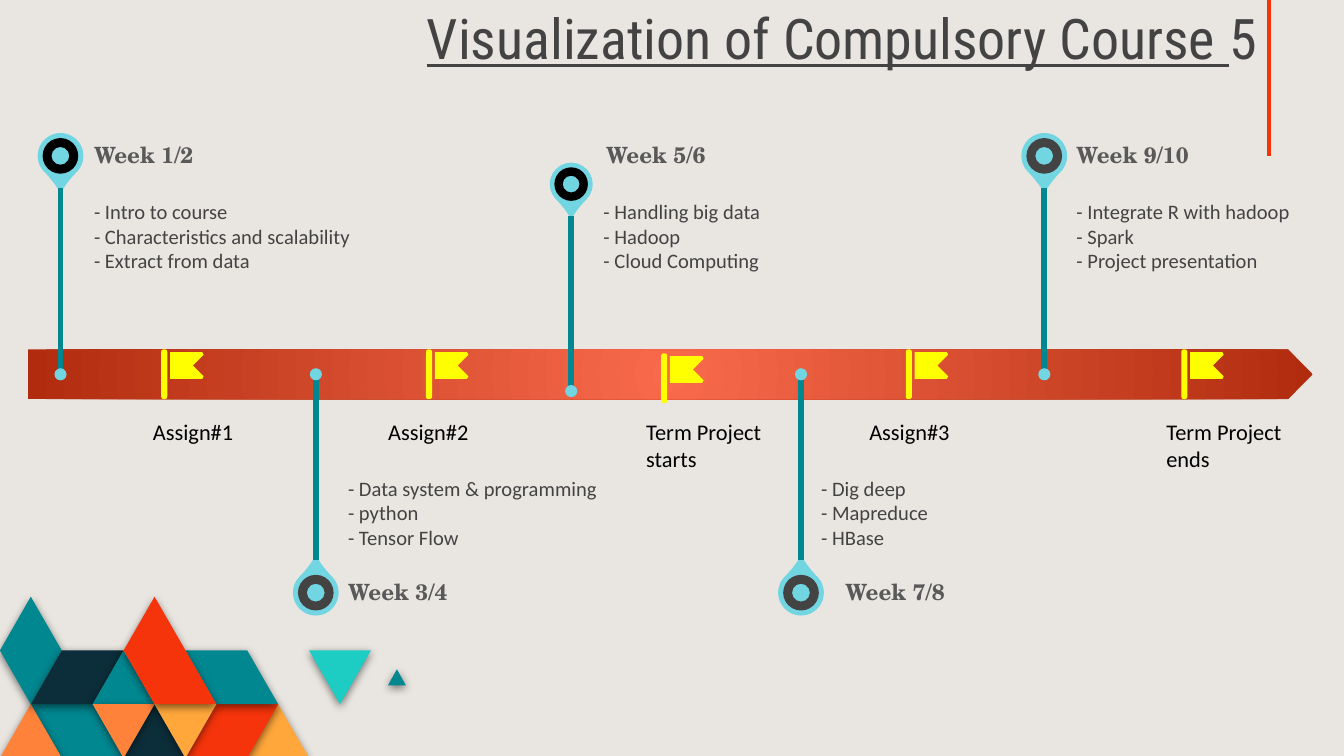
from dataclasses import dataclass

from lxml.etree import SubElement
from pptx import Presentation
from pptx.dml.color import RGBColor
from pptx.enum.shapes import MSO_CONNECTOR as Connector, MSO_SHAPE as Shape
from pptx.enum.text import MSO_ANCHOR as Anchor, PP_ALIGN as Align
from pptx.oxml.ns import qn
from pptx.util import Inches, Pt


@dataclass(frozen=True)
class Theme:
    """Colours, fonts and type sizes of the slide."""
    paper: str = "E9E6E1"
    ink: str = "434343"
    grey: str = "595959"
    black: str = "000000"
    teal: str = "018790"
    navy: str = "0C2E3A"
    red: str = "F5340B"
    orange: str = "FF823B"
    amber: str = "FFA73B"
    aqua: str = "1DCDC3"
    sky: str = "72D5E2"
    yellow: str = "FFFF00"
    glow: str = "F86A4B"
    ember: str = "B12C0F"
    title_font: str = "Roboto Condensed"
    week_font: str = "TeX Gyre Schola"
    body_font: str = "Calibri"
    title_size: float = 30
    label_size: float = 12
    body_size: float = 11


THEME = Theme()
COLUMNS, ROWS = 100, 56.25
TILE_WIDTH, TILE_HEIGHT, MOSAIC_TOP = 2.3, 4, 44.4
BAND_TOP, BAND_HEIGHT = 26, 3.7

TILES = [
    (THEME.amber, [(9, 2), (10, 3), (8, 3)]),
    (THEME.red, [(7, 2), (9, 2), (8, 3), (6, 3)]),
    (THEME.teal, [(1, 2), (3, 2), (4, 3), (2, 3)]),
    (THEME.orange, [(1, 2), (2, 3), (0, 3)]),
    (THEME.navy, [(5, 2), (6, 3), (4, 3)]),
    (THEME.teal, [(6, 1), (8, 1), (9, 2), (7, 2)]),
    (THEME.teal, [(12.84, 1.35), (13.13, 1.65), (12.55, 1.65)]),
    (THEME.aqua, [(10, 1), (12, 1), (11, 2)]),
    (THEME.teal, [(1, 0), (2, 1), (1, 2), (0, 1)]),
    (THEME.navy, [(2, 1), (4, 1), (3, 2), (1, 2)]),
    (THEME.teal, [(4, 1), (5, 2), (3, 2)]),
    (THEME.orange, [(3, 2), (5, 2), (4, 3)]),
    (THEME.amber, [(5, 2), (7, 2), (6, 3)]),
    (THEME.red, [(5, 0), (7, 2), (5, 2), (4, 1)]),
]

WEEKS = [
    ("Week 1/2", ["- Intro to course", "- Characteristics and scalability", "- Extract from data"],
     4.5, 11.6, 3.4, 27.85, THEME.black, 7, 7),
    ("Week 3/4", ["- Data system & programming", "- python", "- Tensor Flow"],
     23.5, 44.1, 3.4, 27.85, THEME.ink, 25.9, 25.9),
    ("Week 5/6", ["- Handling big data", "- Hadoop", "- Cloud Computing"],
     42.5, 13.7, 3.2, 29.1, THEME.black, 45.1, 44.9),
    ("Week 7/8", ["- Dig deep", "- Mapreduce", "- HBase"],
     59.6, 44.1, 3.4, 27.85, THEME.ink, 62.9, 61.1),
    ("Week 9/10", ["- Integrate R with hadoop", "- Spark", "- Project presentation"],
     77.7, 11.6, 3.4, 27.85, THEME.ink, 80.1, 80.1),
]

MILESTONES = [
    ("Assign#1", 12, 0, 10.4, 10.6),
    ("Assign#2", 31.7, 0, 27.9, 10.6),
    ("Term Project starts", 49.2, 0.3, 47.1, 11.5),
    ("Assign#3", 67.4, 0, 63.7, 10.6),
    ("Term Project ends", 87.9, 0, 85.8, 11.5),
]


def cells(count):
    """Convert grid cells, a tenth of an inch each, to a length."""
    return Inches(count / 10)


def paint(shape, color):
    """Give a shape a flat fill without line or shadow."""
    shape.shadow.inherit = False
    shape.fill.solid()
    shape.fill.fore_color.rgb = RGBColor.from_string(color)
    shape.line.fill.background()
    return shape


def add_preset(slide, kind, left, top, width, height, color, bend=None):
    """Add a flat preset shape, with its first adjustment if given."""
    shape = slide.shapes.add_shape(kind, *map(cells, (left, top, width, height)))
    if bend is not None:
        shape.adjustments[0] = bend
    return paint(shape, color)


def add_disc(slide, kind, x, y, size, color, bend=None):
    """Add a preset shape centred on a point."""
    return add_preset(slide, kind, x - size / 2, y - size / 2, size, size, color, bend)


def add_outline(slide, corners, color):
    """Add a closed polygon through grid points."""
    start, *others = [(cells(x), cells(y)) for x, y in corners]
    builder = slide.shapes.build_freeform(*start, scale=1.0)
    builder.add_line_segments(others, close=True)
    return paint(builder.convert_to_shape(), color)


def add_rule(slide, x, top, bottom, color, weight):
    """Add a vertical line."""
    rule = slide.shapes.add_connector(
        Connector.STRAIGHT, cells(x), cells(top), cells(x), cells(bottom))
    rule.line.color.rgb = RGBColor.from_string(color)
    rule.line.width = Pt(weight)
    SubElement(rule._element.spPr, qn("a:effectLst"))


def add_text(slide, lines, box, insets, style, anchor=Anchor.TOP, bold=None, align=None, spacing=None):
    """Add a text box with one paragraph per line, each a list of runs."""
    frame = slide.shapes.add_textbox(*map(cells, box)).text_frame
    frame.word_wrap = True
    frame.vertical_anchor = anchor
    (frame.margin_left, frame.margin_top,
     frame.margin_right, frame.margin_bottom) = map(cells, insets)
    font_name, size, color = style
    for index, runs in enumerate(lines):
        paragraph = frame.add_paragraph() if index else frame.paragraphs[0]
        paragraph.alignment, paragraph.line_spacing = align, spacing
        paragraph.font.name, paragraph.font.size = font_name, Pt(size)
        paragraph.font.bold = bold
        paragraph.font.color.rgb = RGBColor.from_string(color)
        for words, underline in runs:
            run = paragraph.add_run()
            run.text, run.font.underline = words, underline


def add_tile(slide, color, corners):
    """Add one mosaic tile with a soft shadow below it."""
    tile = add_outline(
        slide, [(x * TILE_WIDTH, MOSAIC_TOP + y * TILE_HEIGHT) for x, y in corners], color)
    effects = tile._element.spPr.find(qn("a:effectLst"))
    shadow = SubElement(effects, qn("a:outerShdw"), blurRad=str(Pt(4.5)), dist=str(Pt(1.5)),
                        dir="5400000", algn="t", rotWithShape="0")
    shade = SubElement(shadow, qn("a:srgbClr"), val=THEME.black)
    SubElement(shade, qn("a:alpha"), val="50000")


def add_band(slide):
    """Add the timeline arrow, glowing from its centre."""
    band = add_preset(slide, Shape.PENTAGON, 2.1, BAND_TOP, 95.6, BAND_HEIGHT, THEME.ember, 0.5)
    band.fill.gradient()
    for stop, color in zip(band.fill.gradient_stops, (THEME.glow, THEME.ember)):
        stop.color.rgb = RGBColor.from_string(color)
    gradient = band._element.spPr.find(qn("a:gradFill"))
    gradient.remove(gradient.find(qn("a:lin")))
    glow = SubElement(gradient, qn("a:path"), path="circle")
    SubElement(glow, qn("a:fillToRect"), l="50000", t="50000", r="50000", b="50000")


def add_week(slide, name, topics, x, y, size, dot_y, ring, name_left, topics_left):
    """Add a pin on its stem with the week's name and topics."""
    above = y < dot_y
    pin = add_disc(slide, Shape.TEAR, x, y, size, THEME.sky, 1.15)
    pin.rotation = 135 if above else 315
    add_disc(slide, Shape.DONUT, x, y, size * 0.78, ring, 0.25)
    add_rule(slide, x, y + (2.4 if above else -2.4), dot_y, THEME.teal, 3)
    add_disc(slide, Shape.OVAL, x, dot_y, 0.9, THEME.sky)
    add_text(slide, [[(name, None)]], (name_left, 9.2 if above else 41.7, 19, 4.9), (0, 0, 0.8, 0),
             (THEME.week_font, THEME.label_size, THEME.grey), Anchor.MIDDLE, bold=True, spacing=0.9)
    add_text(slide, [[(topic, None)] for topic in topics],
             (topics_left, 14 if above else 27.9, 23, 13.8),
             (0, 0.8, 0, 1.2) if above else (0, 1.2, 0, 0.8),
             (THEME.body_font, THEME.body_size, THEME.ink), Anchor.TOP if above else Anchor.BOTTOM)


def add_milestone(slide, name, x, drop, name_left, width):
    """Add a flag on the band and its label below."""
    top = BAND_TOP + drop
    add_preset(slide, Shape.ROUNDED_RECTANGLE, x, top, 0.45, BAND_HEIGHT, THEME.yellow, 0.4)
    banner = [(0, 0), (0, 2), (2.4, 2), (2.5, 1.8), (1.7, 1), (2.5, 0.2), (2.4, 0)]
    add_outline(slide, [(x + 0.65 + dx, top + 0.2 + dy) for dx, dy in banner], THEME.yellow)
    add_text(slide, [[(name, None)]], (name_left, 30.1, width, 6.9), (1, 1, 1, 1),
             (THEME.body_font, THEME.label_size, THEME.black))


def main():
    """Build the course timeline and save it."""
    deck = Presentation()
    deck.slide_width, deck.slide_height = cells(COLUMNS), cells(ROWS)
    slide = deck.slides.add_slide(deck.slide_layouts[6])
    slide.background.fill.solid()
    slide.background.fill.fore_color.rgb = RGBColor.from_string(THEME.paper)
    for tile in TILES:
        add_tile(slide, *tile)
    add_rule(slide, 94.4, 0, 11.6, THEME.red, 2.25)
    add_band(slide)
    for week in WEEKS:
        add_week(slide, *week)
    add_text(slide, [[("Visualization of Compulsory Course ", True), ("5", False)]],
             (8.5, 0, 86, 6.3), (1, 1, 1, 1), (THEME.title_font, THEME.title_size, THEME.ink),
             Anchor.BOTTOM, align=Align.RIGHT)
    for milestone in MILESTONES:
        add_milestone(slide, *milestone)
    deck.save("out.pptx")


if __name__ == "__main__":
    main()
